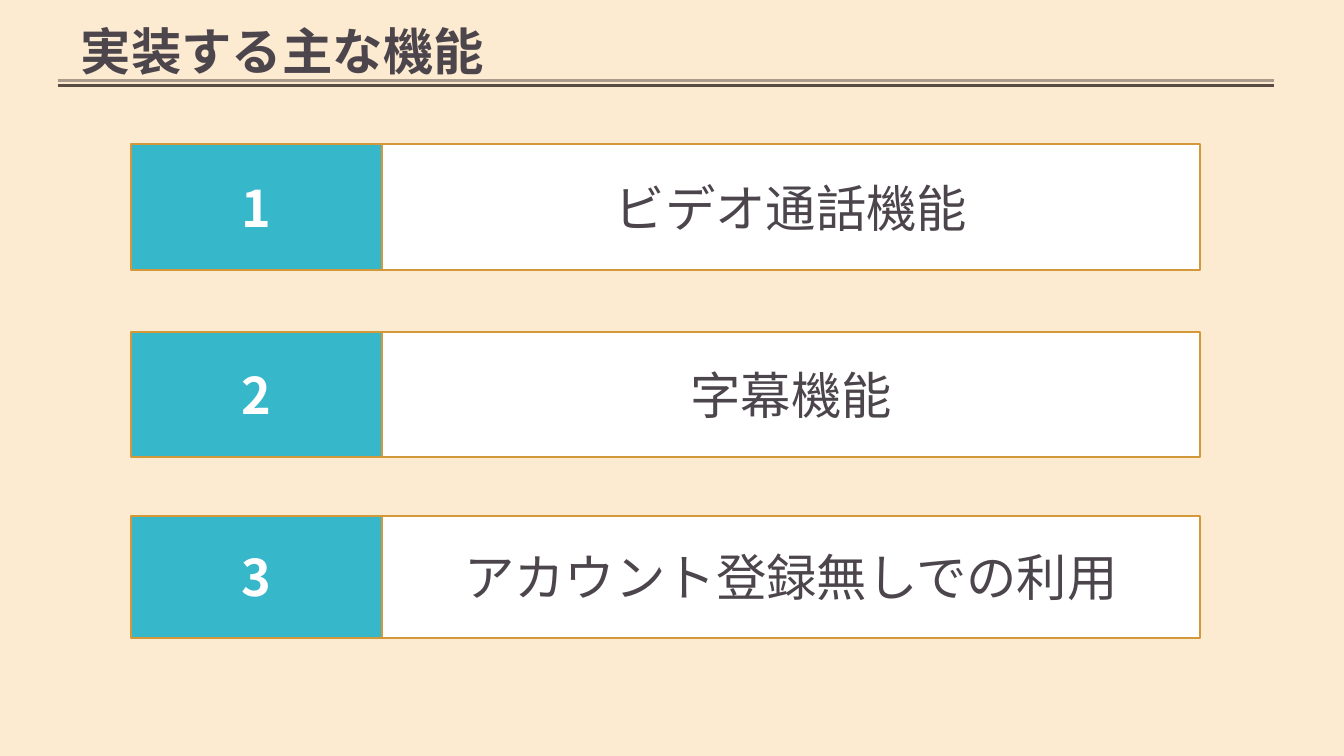
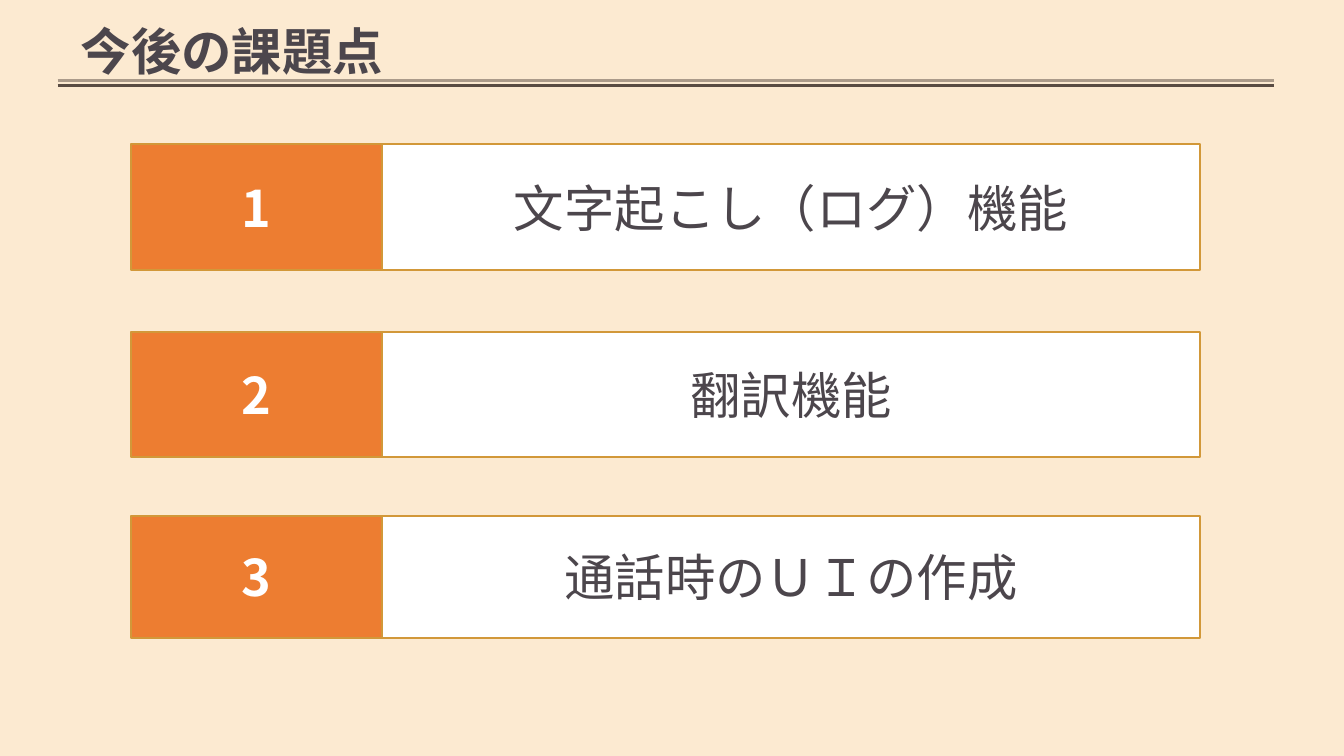
"""Build two slides, each listing three numbered points under a ruled title."""
from lxml import etree
from pptx import Presentation
from pptx.dml.color import RGBColor
from pptx.enum.shapes import MSO_CONNECTOR, MSO_SHAPE
from pptx.enum.text import MSO_ANCHOR, MSO_AUTO_SIZE, PP_ALIGN
from pptx.oxml.ns import qn
from pptx.util import Cm, Pt

RECT = MSO_SHAPE.RECTANGLE
STRAIGHT = MSO_CONNECTOR.STRAIGHT
MIDDLE = MSO_ANCHOR.MIDDLE
LEFT, CENTER = PP_ALIGN.LEFT, PP_ALIGN.CENTER
NO_FIT = MSO_AUTO_SIZE.NONE

SLIDES = [
    ("実装する主な機能", "teal",
     ["ビデオ通話機能", "字幕機能", "アカウント登録無しでの利用"]),
    ("今後の課題点", "orange",
     ["文字起こし（ログ）機能", "翻訳機能", "通話時のＵＩの作成"]),
]
COLORS = {
    "cream": "FCEAD1", "white": "FFFFFF", "ink": "4C464C", "border": "D29839",
    "teal": "36B7CA", "orange": "ED7D31", "tan": "AB9B8A", "brown": "594C43",
}
FONT = "Noto Sans CJK JP"
RULES = [(2.03, "tan"), (2.16, "brown")]
RULE_LEFT, RULE_RIGHT = 1.45, 32.11
ROWS = [(3.63, 3.18), (8.36, 3.15), (13.0, 3.07)]
NUMBER_LEFT, NUMBER_WIDTH = 3.3, 6.32
LABEL_LEFT, LABEL_WIDTH = 9.62, 20.63


def rgb(name):
    return RGBColor.from_string(COLORS[name])


def write(shape, text, color="ink", bold=False, align=CENTER):
    tf = shape.text_frame
    tf.auto_size = NO_FIT
    tf.word_wrap = True
    tf.vertical_anchor = MIDDLE
    p = tf.paragraphs[0]
    p.alignment = align
    r = p.add_run()
    r.text = text
    r.font.name = FONT
    r.font.size = Pt(36)
    r.font.bold = bold
    r.font.color.rgb = rgb(color)
    etree.SubElement(r.font._element, qn("a:ea"), typeface=FONT)


def add_title(s, text):
    title = s.shapes.title
    title.left, title.top = Cm(1.78), Cm(0.38)
    title.width, title.height = Cm(28), Cm(1.8)
    write(title, text, bold=True, align=LEFT)


def add_rule(s, y, color):
    line = s.shapes.add_connector(
        STRAIGHT, Cm(RULE_LEFT), Cm(y), Cm(RULE_RIGHT), Cm(y))
    line.line.color.rgb = rgb(color)
    line.line.width = Pt(1.75)
    etree.SubElement(line._element.spPr, qn("a:effectLst"))


def add_box(s, left, top, width, height, fill, text, **text_format):
    sp = s.shapes.add_shape(RECT, Cm(left), Cm(top), Cm(width), Cm(height))
    sp.shadow.inherit = False
    sp.fill.solid()
    sp.fill.fore_color.rgb = rgb(fill)
    sp.line.color.rgb = rgb("border")
    sp.line.width = Pt(1.5)
    write(sp, text, **text_format)


def add_slide(prs, title, accent, labels):
    s = prs.slides.add_slide(prs.slide_layouts.get_by_name("Title Only"))
    for y, color in RULES:
        add_rule(s, y, color)
    for number, ((top, height), label) in enumerate(zip(ROWS, labels), 1):
        add_box(s, LABEL_LEFT, top, LABEL_WIDTH, height, "white", label)
        add_box(s, NUMBER_LEFT, top, NUMBER_WIDTH, height, accent, str(number),
                color="white", bold=True)
    add_title(s, title)


def main():
    prs = Presentation()
    prs.slide_width, prs.slide_height = Cm(33.87), Cm(19.05)
    background = prs.slide_master.background.fill
    background.solid()
    background.fore_color.rgb = rgb("cream")
    for title, accent, labels in SLIDES:
        add_slide(prs, title, accent, labels)
    prs.save("out.pptx")


if __name__ == "__main__":
    main()
